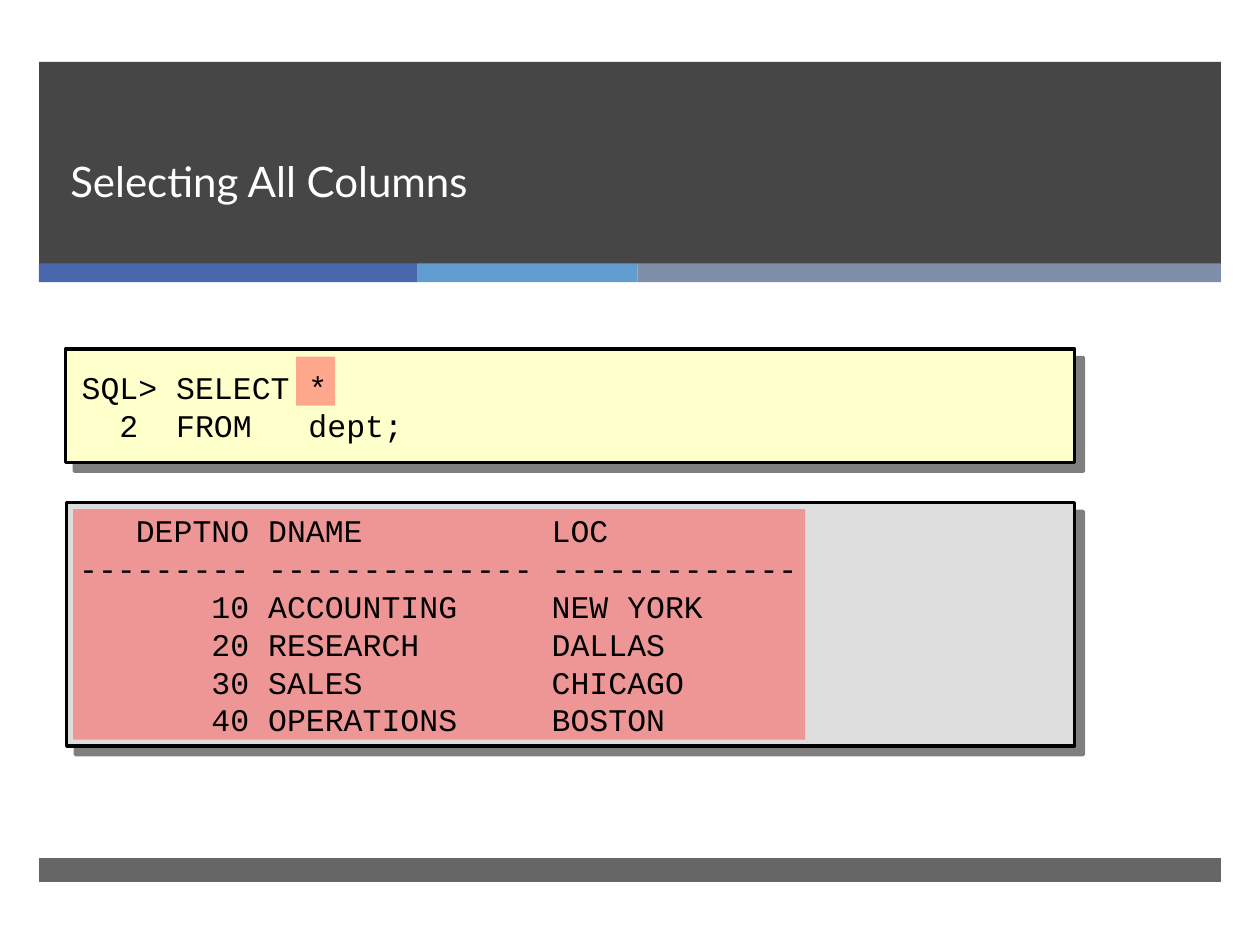
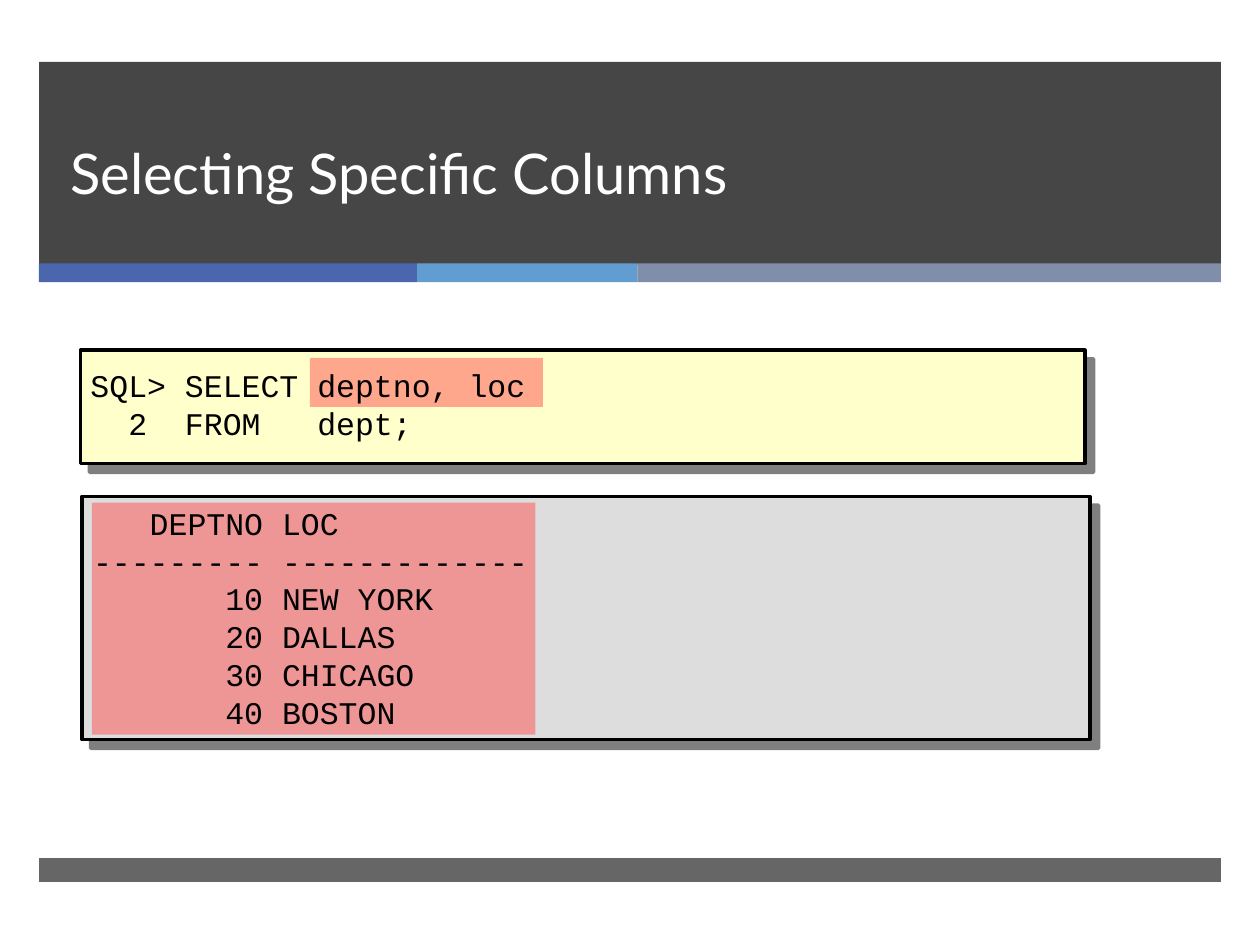
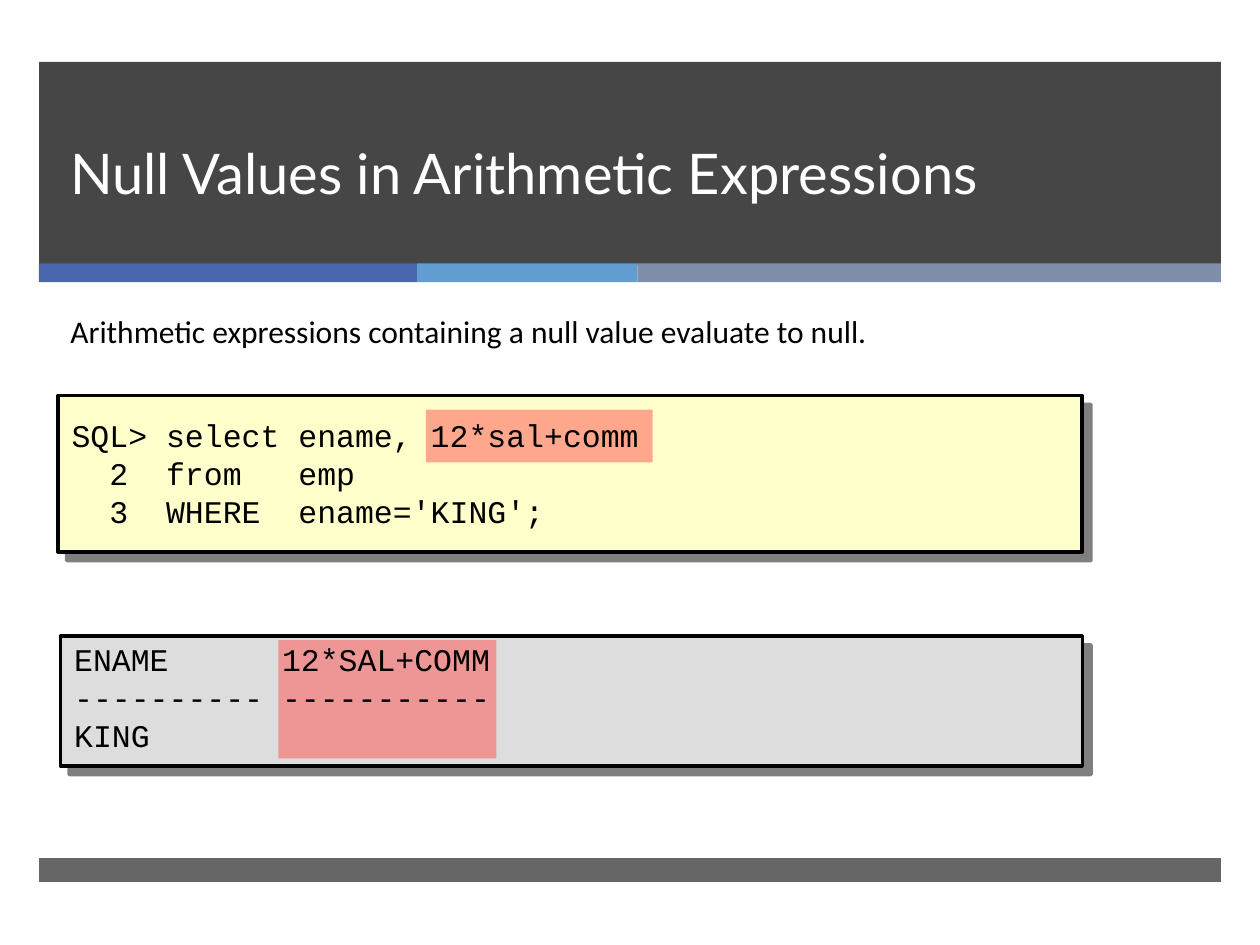
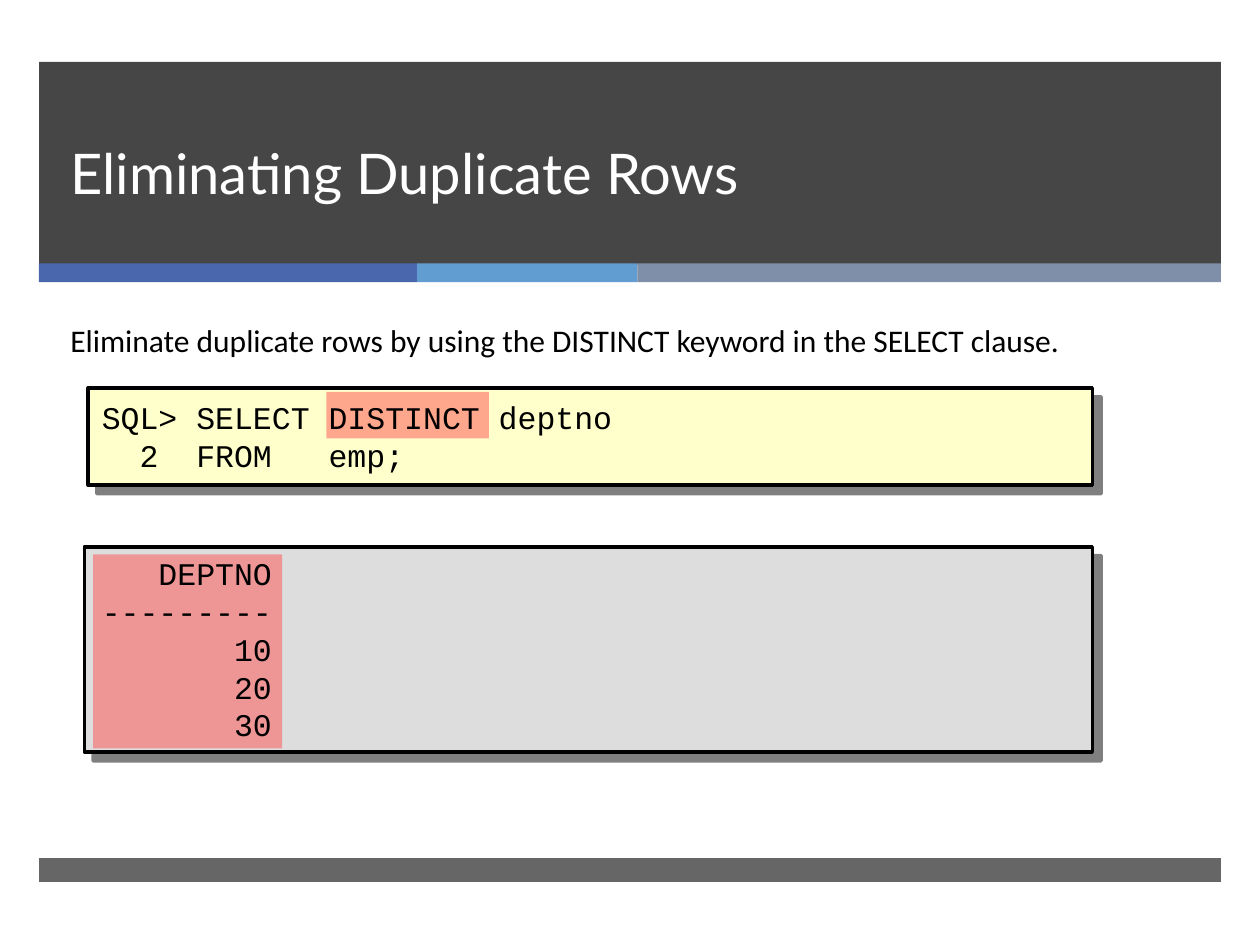
import dataclasses
import typing

import lxml.etree
import pptx
import pptx.dml.color
import pptx.enum.shapes
import pptx.enum.text
import pptx.oxml.ns
import pptx.util

RGBColor = pptx.dml.color.RGBColor
Inches = pptx.util.Inches
Pt = pptx.util.Pt
qn = pptx.oxml.ns.qn

WHITE = RGBColor(0xFF, 0xFF, 0xFF)
BLACK = RGBColor(0x00, 0x00, 0x00)
CHARCOAL = RGBColor(0x26, 0x26, 0x26)
INDIGO = RGBColor(0x4A, 0x66, 0xAC)
SKY = RGBColor(0x62, 0x9D, 0xD1)
SLATE = RGBColor(0x7F, 0x8F, 0xA9)
QUERY_YELLOW = RGBColor(0xFF, 0xFF, 0xCC)
RESULT_GREY = RGBColor(0xDD, 0xDD, 0xDD)
HIGHLIGHT_RED = RGBColor(0xFF, 0x50, 0x50)

TITLE_FONT = "Lato"
BODY_FONT = "Calibri"
CODE_FONT = "Courier New"
CODE_SIZE = 18
KEYWORD_WIDTH = 7
BAND_LEFT = 0.31
BAND_WIDTH = 9.38
ACCENTS = ((INDIGO, 3), (SKY, 1.75), (SLATE, 4.63))


class Box(typing.NamedTuple):
    left: float
    top: float
    width: float
    height: float

    def lengths(self) -> list[int]:
        return [Inches(value) for value in self]


TITLE_BOX = Box(0.46, 0.49, 8.54, 1.19)


class Column(typing.NamedTuple):
    heading: str
    width: int
    numeric: bool = False

    def pad(self, value: str) -> str:
        return value.rjust(self.width) if self.numeric else value.ljust(self.width)


DEPTNO = Column("DEPTNO", 9, numeric=True)
DNAME = Column("DNAME", 14)
LOC = Column("LOC", 13)
ENAME = Column("ENAME", 10)
ANNUAL_PAY = Column("12*SAL+COMM", 11, numeric=True)


@dataclasses.dataclass(frozen=True)
class Panel:
    frame: Box
    highlight: Box
    text_area: Box


@dataclasses.dataclass(frozen=True)
class Query(Panel):
    clauses: tuple[tuple[str, str], ...]

    def lines(self) -> list[str]:
        prompts = ["SQL> "] + [f"{n:>3}  " for n in range(2, len(self.clauses) + 1)]
        return [
            prompt + keyword.ljust(KEYWORD_WIDTH) + operand
            for prompt, (keyword, operand) in zip(prompts, self.clauses)
        ]


@dataclasses.dataclass(frozen=True)
class Result(Panel):
    columns: tuple[Column, ...]
    rows: tuple[tuple[str, ...], ...]

    def lines(self) -> list[str]:
        headings = tuple(column.heading for column in self.columns)
        rules = tuple("-" * column.width for column in self.columns)
        return [
            " ".join(column.pad(value) for column, value in zip(self.columns, row)).rstrip()
            for row in (headings, rules, *self.rows)
        ]


@dataclasses.dataclass(frozen=True)
class Lesson:
    title: str
    query: Query
    result: Result
    title_size: int = 32
    statement: str = ""
    statement_box: Box = Box(0.46, 2.43, 8.08, 0.99)


LESSONS = (
    Lesson(
        "Selecting All Columns",
        Query(
            Box(0.52, 2.77, 8.01, 0.9),
            Box(2.35, 2.83, 0.31, 0.39),
            Box(0.55, 2.76, 7.96, 0.93),
            (("SELECT", "*"), ("FROM", "dept;")),
        ),
        Result(
            Box(0.53, 3.99, 8, 1.93),
            Box(0.58, 4.04, 5.81, 1.83),
            Box(0.53, 4.01, 7.97, 1.9),
            (DEPTNO, DNAME, LOC),
            (
                ("10", "ACCOUNTING", "NEW YORK"),
                ("20", "RESEARCH", "DALLAS"),
                ("30", "SALES", "CHICAGO"),
                ("40", "OPERATIONS", "BOSTON"),
            ),
        ),
        title_size=24,
    ),
    Lesson(
        "Selecting Specific Columns",
        Query(
            Box(0.64, 2.78, 7.97, 0.9),
            Box(2.46, 2.84, 1.85, 0.39),
            Box(0.62, 2.74, 8, 0.93),
            (("SELECT", "deptno, loc"), ("FROM", "dept;")),
        ),
        Result(
            Box(0.65, 3.94, 8, 1.93),
            Box(0.73, 3.99, 3.52, 1.84),
            Box(0.64, 3.95, 7.97, 1.9),
            (DEPTNO, LOC),
            (("10", "NEW YORK"), ("20", "DALLAS"), ("30", "CHICAGO"), ("40", "BOSTON")),
        ),
    ),
    Lesson(
        "Null Values in Arithmetic Expressions",
        Query(
            Box(0.46, 3.14, 8.13, 1.24),
            Box(3.38, 3.25, 1.8, 0.42),
            Box(0.47, 3.12, 8.16, 1.27),
            (("select", "ename, 12*sal+comm"), ("from", "emp"), ("WHERE", "ename='KING';")),
        ),
        Result(
            Box(0.48, 5.05, 8.11, 1.03),
            Box(2.21, 5.08, 1.73, 0.94),
            Box(0.49, 5.03, 8.14, 1),
            (ENAME, ANNUAL_PAY),
            (("KING", ""),),
        ),
        statement="Arithmetic expressions containing a null value evaluate to null.",
    ),
    Lesson(
        "Eliminating Duplicate Rows",
        Query(
            Box(0.7, 3.08, 7.97, 0.77),
            Box(2.59, 3.11, 1.29, 0.37),
            Box(0.71, 3.06, 8, 0.8),
            (("SELECT", "DISTINCT deptno"), ("FROM", "emp;")),
        ),
        Result(
            Box(0.67, 4.34, 8, 1.63),
            Box(0.74, 4.4, 1.5, 1.54),
            Box(0.71, 4.35, 7.97, 1.9),
            (DEPTNO,),
            (("10",), ("20",), ("30",)),
        ),
        statement="Eliminate duplicate rows by using the DISTINCT keyword in the SELECT clause.",
        statement_box=Box(0.46, 2.5, 9.17, 0.39),
    ),
)


def add_color(parent, color: RGBColor, opacity: int) -> None:
    element = lxml.etree.SubElement(parent, qn("a:srgbClr"), val=str(color))
    add_alpha(element, opacity)


def add_alpha(color_element, opacity: int) -> None:
    lxml.etree.SubElement(color_element, qn("a:alpha"), val=str(opacity * 1000))


def add_rectangle(shapes, box: Box, color: RGBColor, opacity: int = 100):
    rectangle = shapes.add_shape(pptx.enum.shapes.MSO_SHAPE.RECTANGLE, *box.lengths())
    rectangle.shadow.inherit = False
    rectangle.fill.solid()
    rectangle.fill.fore_color.rgb = color
    rectangle.line.fill.background()
    if opacity < 100:
        add_alpha(rectangle._element.spPr.find(".//" + qn("a:srgbClr")), opacity)
    return rectangle


def add_frame(shapes, box: Box, color: RGBColor) -> None:
    frame = add_rectangle(shapes, box, color)
    frame.line.color.rgb = BLACK
    frame.line.width = Pt(2)
    shadow = lxml.etree.SubElement(
        frame._element.spPr.find(qn("a:effectLst")),
        qn("a:outerShdw"),
        dist=str(Pt(7.1)),
        dir=str(45 * 60000),
        algn="ctr",
        rotWithShape="0",
    )
    add_color(shadow, BLACK, 50)


def add_text(
    shapes,
    box: Box,
    lines: list[str],
    font: str,
    size: int,
    color: RGBColor = BLACK,
    anchor=pptx.enum.text.MSO_ANCHOR.TOP,
    line_spacing: int | None = None,
) -> None:
    text_frame = shapes.add_textbox(*box.lengths()).text_frame
    text_frame.word_wrap = True
    text_frame.vertical_anchor = anchor
    text_frame.text = "\n".join(lines)
    for paragraph in text_frame.paragraphs:
        if line_spacing:
            paragraph.line_spacing = Pt(line_spacing)
        for run in paragraph.runs:
            run.font.name = font
            run.font.size = Pt(size)
            run.font.color.rgb = color


def add_bands(shapes) -> None:
    add_rectangle(shapes, Box(BAND_LEFT, 0.49, BAND_WIDTH, 1.61), CHARCOAL, 85)
    accent_shapes = shapes.add_group_shape().shapes
    left = BAND_LEFT
    for color, width in ACCENTS:
        add_rectangle(accent_shapes, Box(left, 2.09, width, 0.15), color)
        left += width
    add_rectangle(shapes, Box(BAND_LEFT, 6.81, BAND_WIDTH, 0.19), CHARCOAL, 70)


def add_lesson(presentation, lesson: Lesson) -> None:
    shapes = presentation.slides.add_slide(presentation.slide_layouts[6]).shapes
    anchors = pptx.enum.text.MSO_ANCHOR
    query, result = lesson.query, lesson.result
    add_bands(shapes)
    add_text(
        shapes, TITLE_BOX, [lesson.title], TITLE_FONT, lesson.title_size,
        WHITE, anchors.BOTTOM, line_spacing=46,
    )
    if lesson.statement:
        add_text(shapes, lesson.statement_box, [lesson.statement], BODY_FONT, 18)
    add_frame(shapes, result.frame, RESULT_GREY)
    add_frame(shapes, query.frame, QUERY_YELLOW)
    highlight_shapes = shapes.add_group_shape().shapes
    for panel in (query, result):
        add_rectangle(highlight_shapes, panel.highlight, HIGHLIGHT_RED, 50)
    for panel, anchor in ((result, anchors.TOP), (query, anchors.MIDDLE)):
        add_text(shapes, panel.text_area, panel.lines(), CODE_FONT, CODE_SIZE, anchor=anchor)


def main() -> None:
    presentation = pptx.Presentation()
    presentation.slide_width = Inches(10)
    presentation.slide_height = Inches(7.5)
    for lesson in LESSONS:
        add_lesson(presentation, lesson)
    presentation.save("out.pptx")


if __name__ == "__main__":
    main()
